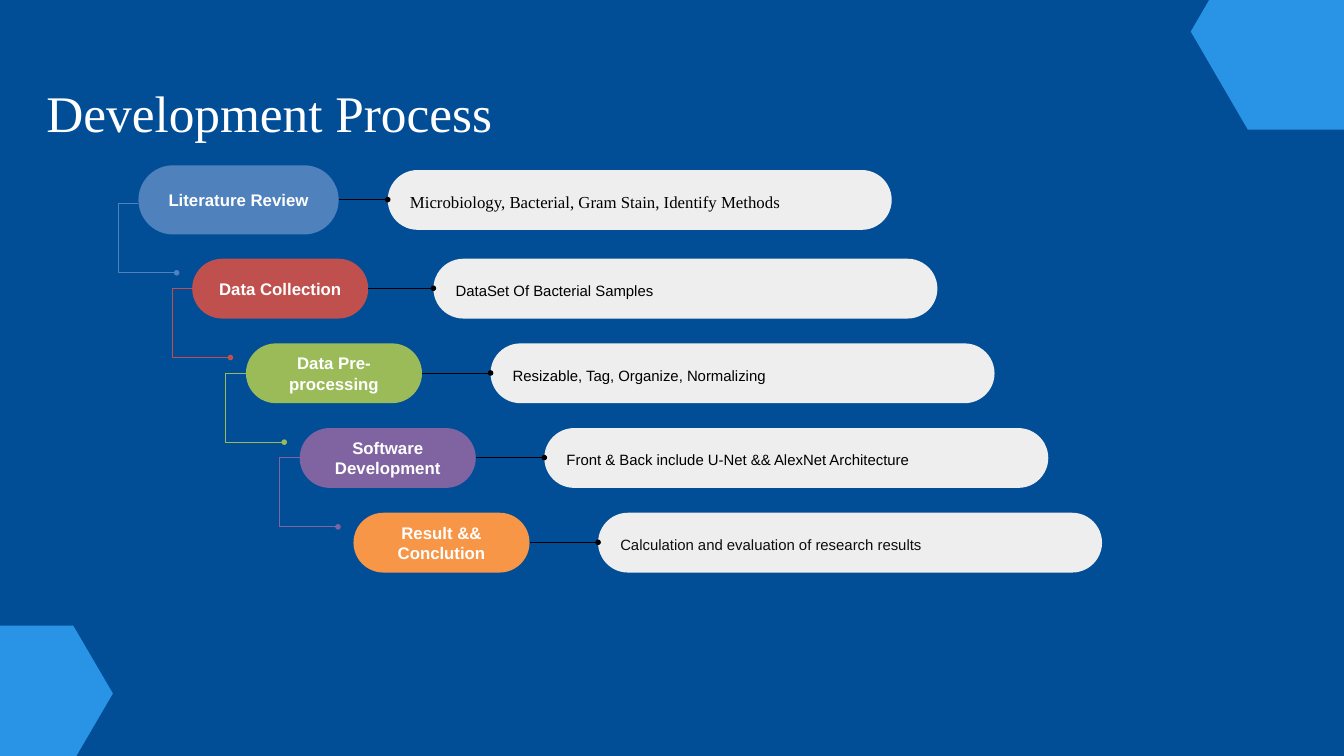
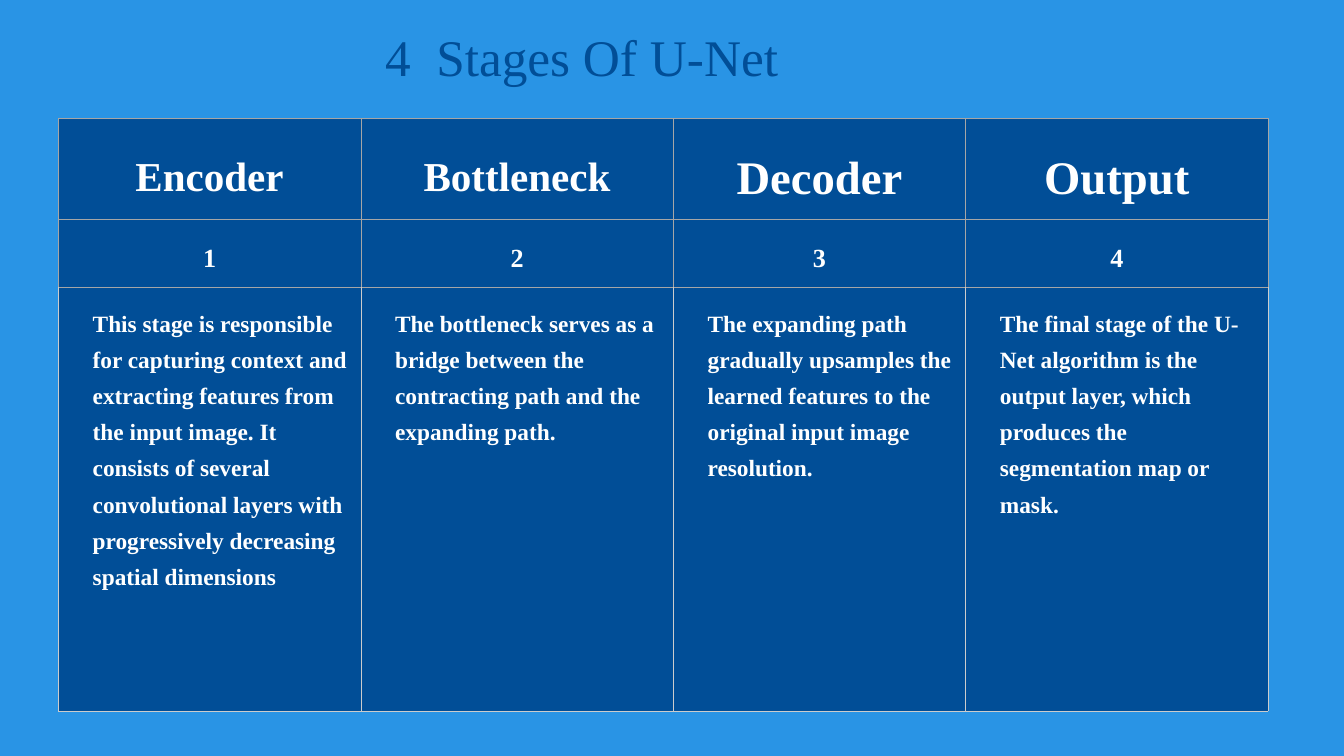
from lxml import etree
from pptx import Presentation
from pptx import util as u
from pptx.dml.color import RGBColor
from pptx.enum import shapes, text
from pptx.oxml import ns

PX = 9144  # EMU in one px: 100 px to the inch
SERIF, SANS = "Times New Roman", "Arial"
COLORS = {
    "navy": "014E97", "sky": "2994E5", "white": "FFFFFF", "black": "000000",
    "ink": "0D0D0D", "bar": "EEEEEE", "border": "A6A6A6", "border_light": "CCCCCC",
    "blue": "4F81BD", "red": "C0504D", "green": "9BBB59", "purple": "8064A2",
    "orange": "F79646",
}
LEFT, CENTER = text.PP_ALIGN.LEFT, text.PP_ALIGN.CENTER
TOP, MIDDLE = text.MSO_ANCHOR.TOP, text.MSO_ANCHOR.MIDDLE


def px(*values):
    return [u.Emu(v * PX) for v in values]


def rgb(name):
    return RGBColor.from_string(COLORS[name])


def write(tf, content, size=18, font=SANS, color="white", bold=False,
          align=LEFT, spacing=1.0, indent=0):
    tf.word_wrap = True
    p = tf.paragraphs[0]
    p.alignment, p.line_spacing = align, spacing
    if indent:
        pPr = p._p.get_or_add_pPr()
        pPr.set("marL", str(indent * PX))
        pPr.set("indent", "0")
    r = p.add_run()
    r.text = content
    r.font.size, r.font.name, r.font.bold = u.Pt(size), font, bold
    r.font.color.rgb = rgb(color)


def set_margins(box, left, top, right, bottom):
    (box.margin_left, box.margin_top,
     box.margin_right, box.margin_bottom) = px(left, top, right, bottom)


class Deck:
    def __init__(self, width, height):
        self.prs = Presentation()
        self.prs.slide_width, self.prs.slide_height = px(width, height)
        self.slide = None

    def add_slide(self, background):
        self.slide = self.prs.slides.add_slide(self.prs.slide_layouts[5])
        fill = self.slide.background.fill
        fill.solid()
        fill.fore_color.rgb = rgb(background)

    def title(self, content, x, y, w, h, color, spacing=1.0):
        sp = self.slide.shapes.title
        sp.left, sp.top, sp.width, sp.height = px(x, y, w, h)
        tf = sp.text_frame
        tf.auto_size, tf.vertical_anchor = text.MSO_AUTO_SIZE.NONE, TOP
        set_margins(tf, 0, 0, 0, 0)
        write(tf, content, size=55, font=SERIF, color=color, spacing=spacing)

    def outline(self, points, close):
        builder = self.slide.shapes.build_freeform(*points[0], scale=PX)
        builder.add_line_segments(points[1:], close=close)
        sp = builder.convert_to_shape()
        sp.shadow.inherit = False
        return sp

    def fill(self, sp, color):
        sp.fill.solid()
        sp.fill.fore_color.rgb = rgb(color)
        sp.line.fill.background()

    def dot_end(self, sp, color):
        sp.line.color.rgb = rgb(color)
        sp.line.width = u.Pt(0.75)
        ln = sp.element.spPr.find(ns.qn("a:ln"))
        etree.SubElement(ln, ns.qn("a:tailEnd"), type="oval")

    def hexagon(self, x, y, w, h):
        cut, mid = w // 4, y + h // 2
        sp = self.outline([(x + w - cut, y), (x + cut, y), (x, mid), (x + cut, y + h),
                           (x + w - cut, y + h), (x + w, mid)], close=True)
        self.fill(sp, "sky")

    def hook(self, x, y, color):
        sp = self.outline([(x, y), (x - 30, y), (x - 30, y + 103), (x + 57, y + 103)],
                          close=False)
        sp.fill.background()
        self.dot_end(sp, color)

    def pill(self, content, x, mid, w, h, fill, inset=10, **style):
        sp = self.slide.shapes.add_shape(shapes.MSO_SHAPE.ROUNDED_RECTANGLE,
                                         *px(x, mid - h // 2, w, h))
        sp.adjustments[0] = 0.5
        sp.shadow.inherit = False
        self.fill(sp, fill)
        tf = sp.text_frame
        tf.vertical_anchor = MIDDLE
        set_margins(tf, inset, 10, 10, 10)
        write(tf, content, **style)

    def link(self, x1, x2, y):
        sp = self.slide.shapes.add_connector(shapes.MSO_CONNECTOR.STRAIGHT,
                                             *px(x1, y, x2, y))
        self.dot_end(sp, "black")
        etree.SubElement(sp.element.spPr, ns.qn("a:effectLst"))

    def table(self, x, y, widths, heights):
        table = self.slide.shapes.add_table(
            len(heights), len(widths), *px(x, y, sum(widths), sum(heights))).table
        table.first_row = table.horz_banding = False
        for column, w in zip(table.columns, px(*widths)):
            column.width = w
        for row, h in zip(table.rows, px(*heights)):
            row.height = h
        return table

    def cell(self, cell, content, anchor=TOP, sides="border", **style):
        tcPr = cell._tc.get_or_add_tcPr()
        for side in "LRTB":
            ln = etree.SubElement(tcPr, ns.qn(f"a:ln{side}"), w=str(u.Pt(0.75)))
            fill = etree.SubElement(ln, ns.qn("a:solidFill"))
            color = "border" if side == "T" else sides
            etree.SubElement(fill, ns.qn("a:srgbClr"), val=COLORS[color])
        cell.fill.solid()
        cell.fill.fore_color.rgb = rgb("navy")
        cell.vertical_anchor = anchor
        set_margins(cell, 21, 21, 21, 21)
        write(cell.text_frame, content, font=SERIF, bold=True, spacing=1.4, **style)


def development_process(deck):
    deck.add_slide("navy")
    deck.title("Development Process", 69, 102, 1243, 111, "white", spacing=1.2)
    deck.hexagon(1772, -99, 343, 292)
    deck.hexagon(-70, 931, 238, 202)

    # Steps: name, colour, details, left edge of the details
    steps = [
        ("Literature Review", "blue",
         "Microbiology, Bacterial, Gram Stain, Identify Methods", 577),
        ("Data Collection", "red", "DataSet Of Bacterial Samples", 645),
        ("Data Pre-processing", "green", "Resizable, Tag, Organize, Normalizing", 730),
        ("Software Development", "purple",
         "Front & Back include U-Net && AlexNet Architecture", 810),
        ("Result && Conclution", "orange",
         "Calculation and evaluation of research results", 890),
    ]
    for i, (name, color, details, bar_x) in enumerate(steps):
        first, last = i == 0, i == len(steps) - 1
        x, y = 206 + 80 * i, 303 + 126 * i
        if not last:
            deck.hook(x, y, color)
        # The first step is larger and sits a little higher
        mid = y - 6 if first else y
        w, h = (298, 103) if first else (262, 89)
        deck.pill(name, x, mid, w, h, color, bold=True, align=CENTER)
        deck.pill(details, bar_x, mid, 750, 89, "bar", inset=20, spacing=1.2,
                  size=18 if first else 16, font=SERIF if first else SANS,
                  color="ink" if last else "black")
        deck.link(x + w, bar_x, mid)


def unet_stages(deck):
    deck.add_slide("sky")
    deck.title("4  Stages Of U-Net", 573, 38, 1187, 93, "navy")

    # Stages: name, heading size, description
    stages = [
        ("Encoder", 44, "This stage is responsible for capturing context and extracting "
         "features from the input image. It consists of several convolutional layers "
         "with progressively decreasing spatial dimensions"),
        ("Bottleneck", 44, "The bottleneck serves as a bridge between the contracting "
         "path and the expanding path."),
        ("Decoder", 50, "The expanding path gradually upsamples the learned features "
         "to the original input image resolution."),
        ("Output", 50, "The final stage of the U-Net algorithm is the output layer, "
         "which produces the segmentation map or mask."),
    ]
    table = deck.table(87, 176, [450, 465, 435, 450], [144, 73, 630])
    for col, (name, size, description) in enumerate(stages):
        deck.cell(table.cell(0, col), name, anchor=MIDDLE, size=size, align=CENTER)
        deck.cell(table.cell(1, col), str(col + 1), size=28, align=CENTER)
        deck.cell(table.cell(2, col), description, sides="border_light", size=25,
                  indent=30)


def main():
    deck = Deck(2000, 1125)
    development_process(deck)
    unet_stages(deck)
    deck.prs.save("out.pptx")


if __name__ == "__main__":
    main()
